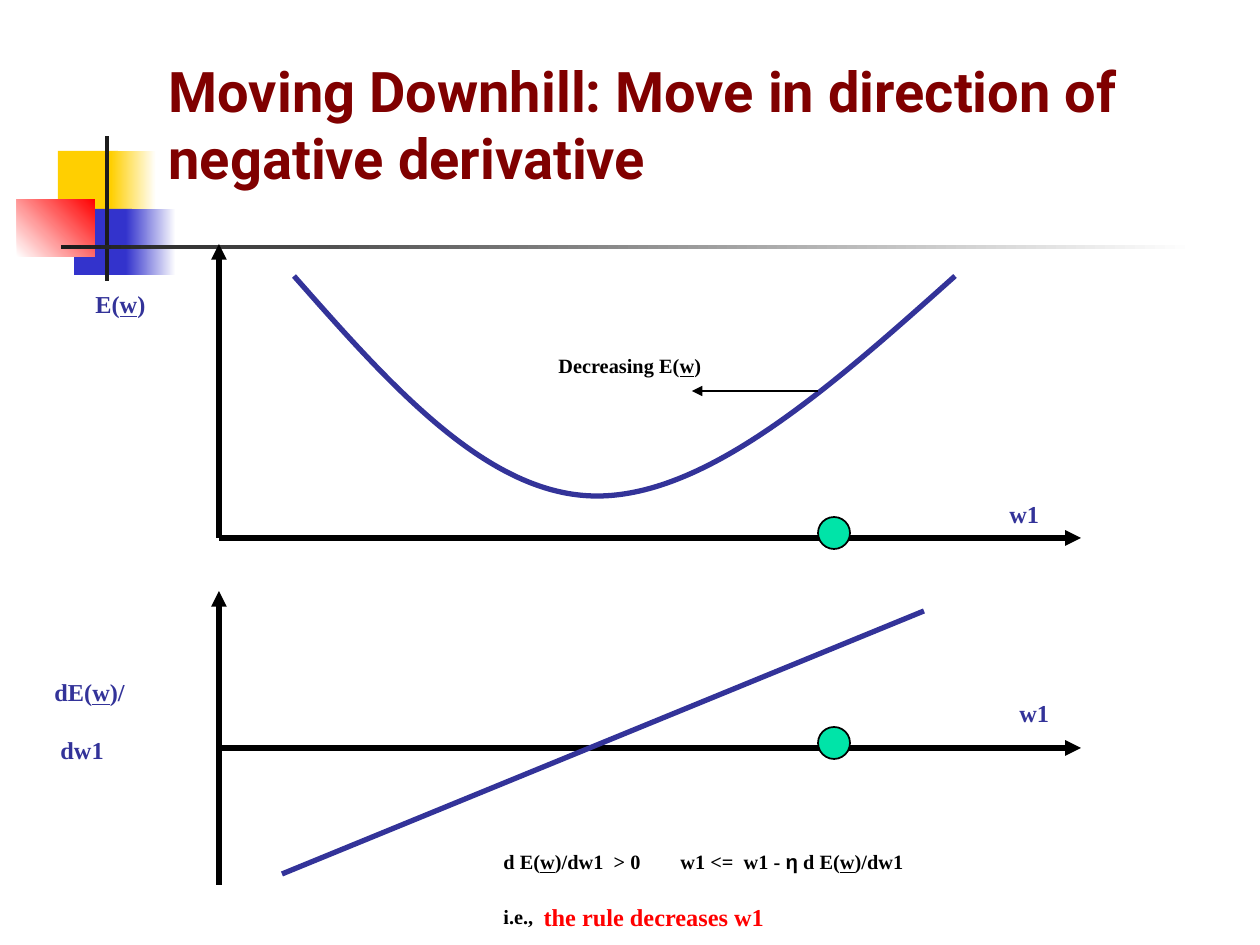
from lxml.etree import SubElement
from pptx import Presentation
from pptx.dml.color import RGBColor
from pptx.enum.shapes import MSO_CONNECTOR, MSO_SHAPE
from pptx.enum.text import MSO_ANCHOR, MSO_AUTO_SIZE, PP_ALIGN
from pptx.oxml.ns import qn
from pptx.util import Inches, Pt

BLACK, BLUE, RED = "000000", "333399", "FF0000"
GOLD, ROYAL, DARK, WHITE = "FFCF01", "3333CC", "1C1C1C", "FFFFFF"
LABEL = {"size": Pt(24), "name": "Times New Roman", "bold": True, "color": BLUE}
NOTE = LABEL | {"size": Pt(20), "color": BLACK}


def px(*vals):
    """Turn pixels, 126 to the inch, into EMU."""
    return [round(val * Inches(1) / 126) for val in vals]


def paint(color, code):
    color.rgb = RGBColor.from_string(code)


def set_font(font, look):
    for key, val in look.items():
        if key == "color":
            paint(font.color, val)
        else:
            setattr(font, key, val)


def set_line(line, code, width):
    line.width = Pt(width)
    paint(line.color, code)


def add_block(slide, box, start, end=None, angle=0):
    """Add a rectangle with a plain fill, or a gradient if end is given."""
    shape = slide.shapes.add_shape(MSO_SHAPE.RECTANGLE, *px(*box))
    shape.shadow.inherit = False
    shape.line.fill.background()
    if end is None:
        shape.fill.solid()
        paint(shape.fill.fore_color, start)
        return
    shape.fill.gradient()
    shape.fill.gradient_angle = angle
    for stop, code, place in zip(shape.fill.gradient_stops, (start, end), (0, 1)):
        paint(stop.color, code)
        stop.position = place


def add_line(slide, start, end, code=BLACK, width=3, arrow=True):
    line = slide.shapes.add_connector(MSO_CONNECTOR.STRAIGHT, *px(*start, *end))
    set_line(line.line, code, width)
    props = line._element.spPr
    if arrow:
        SubElement(props.find(qn("a:ln")), qn("a:tailEnd"), type="triangle")
    SubElement(props, qn("a:effectLst"))


def add_curve(slide, points):
    """Add an open curve of Bezier spans, three points to a span."""
    scale = Inches(1) / 126
    form = slide.shapes.build_freeform(*points[0], scale=scale)
    form.add_line_segments(points[1:], close=False)
    curve = form.convert_to_shape()
    curve.shadow.inherit = False
    curve.fill.background()
    set_line(curve.line, BLUE, 3)
    track = next(curve._element.iter(qn("a:path")))
    steps = track.findall(qn("a:lnTo"))
    for i in range(0, len(steps), 3):
        span = SubElement(track, qn("a:cubicBezTo"))
        for step in steps[i:i + 3]:
            span.append(step[0])
            track.remove(step)


def add_dot(slide, left, top):
    dot = slide.shapes.add_shape(MSO_SHAPE.OVAL, *px(left, top, 32, 32))
    dot.shadow.inherit = False
    dot.fill.solid()
    paint(dot.fill.fore_color, "00E4A8")
    set_line(dot.line, BLACK, 1)


def add_text(slide, box, paras, look=LABEL, wrap=False, tab=None):
    """Add lowered text; a part between underscores is underlined."""
    frame = slide.shapes.add_textbox(*px(*box)).text_frame
    frame.word_wrap = wrap
    frame.auto_size = MSO_AUTO_SIZE.SHAPE_TO_FIT_TEXT
    for i, parts in enumerate(paras):
        para = frame.add_paragraph() if i else frame.paragraphs[0]
        if tab:
            tabs = SubElement(para._p.get_or_add_pPr(), qn("a:tabLst"))
            SubElement(tabs, qn("a:tab"), pos=str(px(tab)[0]), algn="l")
        for text, extra in parts:
            for j, piece in enumerate(text.split("_")):
                run = para.add_run()
                run.text = piece
                set_font(run.font, look | extra | {"underline": j % 2 == 1})
                run.font._element.set("baseline", "-25000")


def add_title(slide, text):
    title = slide.shapes.title
    title.left, title.top, title.width, title.height = px(156, 45, 1071, 158)
    frame = title.text_frame
    frame.word_wrap = True
    frame.auto_size = MSO_AUTO_SIZE.NONE
    frame.vertical_anchor = MSO_ANCHOR.MIDDLE
    frame.text = text
    para = frame.paragraphs[0]
    para.alignment = PP_ALIGN.LEFT
    look = {"size": Pt(32), "name": "Roboto", "bold": True, "color": "800000"}
    set_font(para.runs[0].font, look)


def add_decor(slide):
    add_block(slide, (58, 151, 60, 66), GOLD)
    add_block(slide, (111, 151, 45, 66), GOLD, WHITE)
    add_block(slide, (74, 209, 58, 66), ROYAL)
    add_block(slide, (126, 209, 50, 66), ROYAL, WHITE)
    add_block(slide, (17, 199, 78, 58), WHITE, RED, 45)
    add_block(slide, (105, 136, 4, 145), DARK)
    add_block(slide, (61, 245, 1134, 4), DARK, WHITE)


def main():
    deck = Presentation()
    deck.slide_width, deck.slide_height = px(1260, 945)
    slide = deck.slides.add_slide(deck.slide_layouts[5])
    add_decor(slide)
    add_title(slide, "Moving Downhill: Move in direction of negative derivative")

    for foot, top, level in ((538, 244, 538), (885, 591, 748)):
        add_line(slide, (219, foot), (219, top))
        add_line(slide, (219, level), (1081, level))
    add_curve(slide, [(294, 276), (391, 386), (488, 496), (597, 496),
                      (708, 496), (832, 386), (955, 276)])
    add_line(slide, (282, 874), (924, 611), BLUE, arrow=False)
    for top in (517, 727):
        add_dot(slide, 818, top)
    add_line(slide, (818, 391), (692, 391), width=1)

    add_text(slide, (83, 255, 112, 63), [[("E(_w_)", {})]])
    add_text(slide, (42, 643, 149, 115), [[("dE(_w_)/", {})], [(" dw1", {})]])
    for left, top in ((997, 465), (1007, 664)):
        add_text(slide, (left, top, 69, 63), [[("w1", {})]])
    add_text(slide, (546, 324, 271, 54), [[("Decreasing E(_w_)", {})]], NOTE)
    rule = [
        [("d E(_w_)/dw1  > 0\tw1 <=  w1 - ", {}), ("η", {"name": "Arial"}),
         (" d E(_w_)/dw1", {})],
        [("i.e.,  ", {}),
         ("the rule decreases w1", {"size": Pt(24), "color": RED})],
    ]
    add_text(slide, (491, 820, 735, 106), rule, NOTE, wrap=True, tab=177)
    deck.save("out.pptx")


if __name__ == "__main__":
    main()
